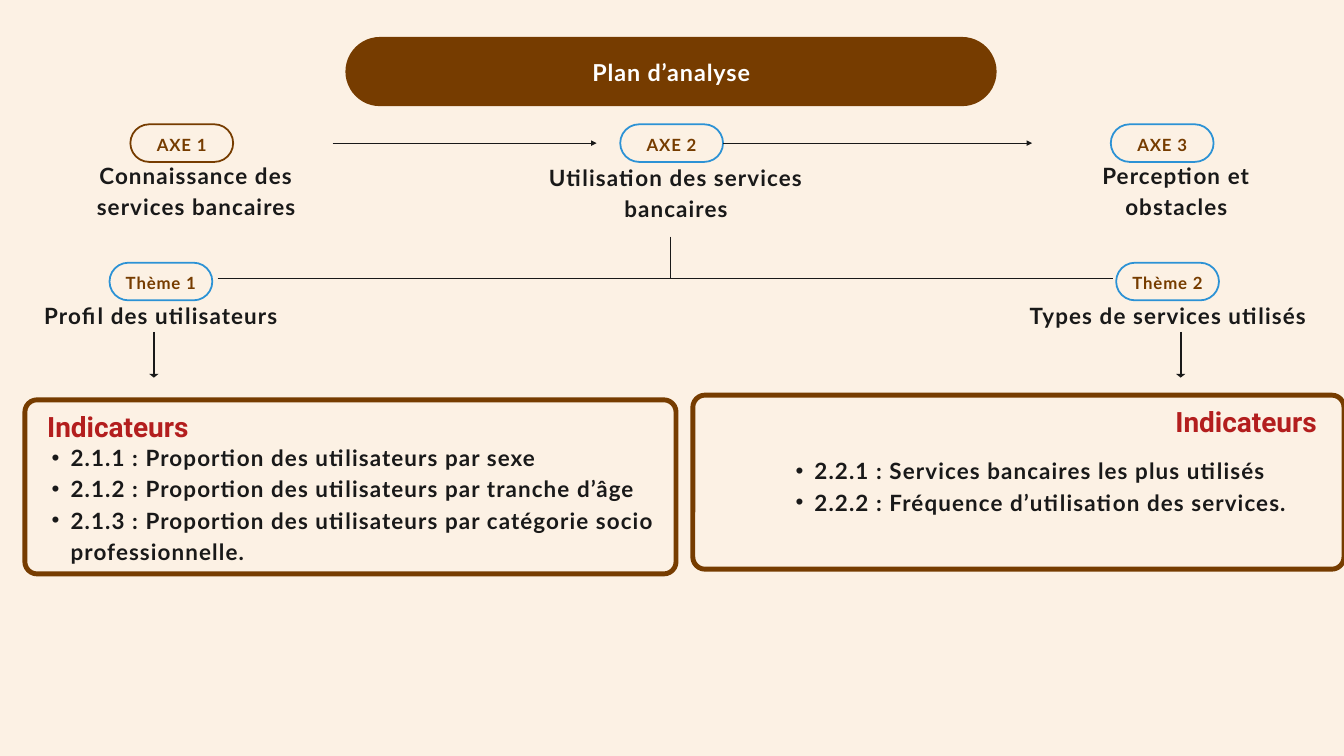
from dataclasses import dataclass

from lxml import etree
from pptx import Presentation
from pptx import util as u
from pptx.dml.color import RGBColor
from pptx.enum import shapes, text
from pptx.oxml import ns

Inches, Pt = u.Inches, u.Pt


@dataclass(frozen=True)
class TextStyle:
    font: str
    size: float
    color: str
    line_spacing: float
    tracking: float = 0


@dataclass(frozen=True)
class Theme:
    background: str = "FCF1E4"
    brown: str = "763C00"
    blue: str = "2C92D5"
    ink: str = "191919"
    title: TextStyle = TextStyle("Lato", 25, "FFFFFF", 32.5, 1)
    tag: TextStyle = TextStyle("Lato", 18, "763C00", 25.2, 0.9)
    body: TextStyle = TextStyle("Lato", 24, "191919", 33.6, 1.2)
    heading: TextStyle = TextStyle("Roboto", 30, "B31E1E", 38.7)


@dataclass(frozen=True)
class Box:
    left: float
    top: float
    width: float
    height: float

    def lengths(self):
        return [Inches(v) for v in (self.left, self.top, self.width, self.height)]


@dataclass(frozen=True)
class Topic:
    tag: str
    left: float
    top: float
    color: str
    caption: str
    caption_box: Box


@dataclass(frozen=True)
class Panel:
    frame: Box
    heading_box: Box
    list_box: Box
    indicators: tuple


THEME = Theme()
TAG_WIDTH, TAG_HEIGHT = 1.53, 0.56
TITLE_FRAME = Box(5.14, 0.55, 9.69, 1.03)
AXIS_TOP, THEME_TOP = 1.85, 3.91

TOPICS = (
    Topic("AXE 1", 1.94, AXIS_TOP, THEME.brown, "Connaissance des services bancaires",
          Box(0.84, 2.34, 4.16, 0.9)),
    Topic("AXE 2", 9.23, AXIS_TOP, THEME.blue, "Utilisation des services bancaires",
          Box(7.98, 2.37, 4.16, 0.9)),
    Topic("AXE 3", 16.53, AXIS_TOP, THEME.blue, "Perception et obstacles",
          Box(16.06, 2.34, 2.89, 0.9)),
    Topic("Thème 1", 1.63, THEME_TOP, THEME.blue, "Profil des utilisateurs",
          Box(0.33, 4.43, 4.13, 0.44)),
    Topic("Thème 2", 16.61, THEME_TOP, THEME.blue, "Types de services utilisés",
          Box(15.1, 4.43, 4.56, 0.44)),
)

PANELS = (
    Panel(Box(0.37, 5.95, 9.69, 2.59), Box(0.59, 6.05, 2.33, 0.54),
          Box(0.48, 6.54, 9.46, 1.82),
          ("2.1.1 : Proportion des utilisateurs par sexe",
           "2.1.2 : Proportion des utilisateurs par tranche d’âge",
           "2.1.3 : Proportion des utilisateurs par catégorie socio professionnelle.")),
    Panel(Box(10.31, 5.88, 9.69, 2.59), Box(17.38, 5.98, 2.33, 0.54),
          Box(11.55, 6.74, 8.45, 0.9),
          ("2.2.1 : Services bancaires les plus utilisés",
           "2.2.2 : Fréquence d’utilisation des services.")),
)


def set_all(target, values: dict) -> None:
    for name, value in values.items():
        setattr(target, name, value)


def add_bullet(paragraph) -> None:
    properties = paragraph._p.get_or_add_pPr()
    set_all(paragraph, {"level": 1})
    properties.set("marL", str(Inches(0.57)))
    properties.set("indent", str(Inches(-0.28)))
    etree.SubElement(properties, ns.qn("a:buFont")).set("typeface", "Arial")
    etree.SubElement(properties, ns.qn("a:buChar")).set("char", "•")


def write(shape, lines: tuple, style: TextStyle, bulleted: bool = False) -> None:
    frame = shape.text_frame
    set_all(frame, {
        "margin_left": 0, "margin_right": 0, "margin_top": 0, "margin_bottom": 0,
        "word_wrap": True, "auto_size": text.MSO_AUTO_SIZE.NONE,
        "vertical_anchor": text.MSO_ANCHOR.TOP,
    })
    for index, line in enumerate(lines):
        paragraph = frame.add_paragraph() if index else frame.paragraphs[0]
        set_all(paragraph, {
            "alignment": text.PP_ALIGN.LEFT if bulleted else text.PP_ALIGN.CENTER,
            "line_spacing": Pt(style.line_spacing),
            "space_before": Pt(0), "space_after": Pt(0),
        })
        if bulleted:
            add_bullet(paragraph)
        run = paragraph.add_run()
        run.text = line
        set_all(run.font, {"name": style.font, "size": Pt(style.size), "bold": True})
        run.font.color.rgb = RGBColor.from_string(style.color)
        if style.tracking:
            run.font._element.set("spc", str(round(style.tracking * 100)))


def add_label(slide, box: Box, label: str, style: TextStyle) -> None:
    write(slide.shapes.add_textbox(*box.lengths()), (label,), style)


def fill_placeholder(slide, placeholder, box: Box, lines: tuple, style: TextStyle,
                     bulleted: bool = False) -> None:
    """Place and write a placeholder, in front of the shapes drawn so far."""
    set_all(placeholder, dict(zip(("left", "top", "width", "height"), box.lengths())))
    write(placeholder, lines, style, bulleted)
    slide.shapes._spTree.append(placeholder._element)


def add_rounded(slide, box: Box, corner: float, fill: str | None,
                line: str | None = None, weight: float = 0):
    shape = slide.shapes.add_shape(shapes.MSO_SHAPE.ROUNDED_RECTANGLE, *box.lengths())
    shape.shadow.inherit = False
    shape.adjustments[0] = corner
    if fill:
        shape.fill.solid()
        shape.fill.fore_color.rgb = RGBColor.from_string(fill)
    else:
        shape.fill.background()
    if line:
        shape.line.color.rgb = RGBColor.from_string(line)
        shape.line.width = Pt(weight)
    else:
        shape.line.fill.background()
    return shape


def add_line(slide, start: tuple, end: tuple, weight: float = 0.75,
             head: tuple | None = None):
    """Draw a straight line; head gives the arrowhead's width and length."""
    connector = slide.shapes.add_connector(
        shapes.MSO_CONNECTOR.STRAIGHT, *(Inches(v) for v in (*start, *end)))
    connector.line.color.rgb = RGBColor.from_string(THEME.ink)
    connector.line.width = Pt(weight)
    if head:
        tail_end = etree.SubElement(connector.line._get_or_add_ln(), ns.qn("a:tailEnd"))
        for name, value in zip(("type", "w", "len"), ("triangle", *head)):
            tail_end.set(name, value)
    etree.SubElement(connector._element.spPr, ns.qn("a:effectLst"))
    return connector


def add_topic(slide, topic: Topic):
    outline = Box(topic.left, topic.top, TAG_WIDTH, TAG_HEIGHT)
    pill = add_rounded(slide, outline, 0.5, None, topic.color, 1.9)
    label_box = Box(topic.left + 0.18, topic.top + 0.1, 1.17, 0.33)
    add_label(slide, label_box, topic.tag, THEME.tag)
    add_label(slide, topic.caption_box, topic.caption, THEME.body)
    return pill


def add_panel(slide, panel: Panel, placeholder) -> None:
    add_rounded(slide, panel.frame, 0.07, THEME.background, THEME.brown, 5.25)
    fill_placeholder(slide, placeholder, panel.list_box, panel.indicators,
                     THEME.body, bulleted=True)
    add_label(slide, panel.heading_box, "Indicateurs", THEME.heading)


def main() -> None:
    presentation = Presentation()
    set_all(presentation, {"slide_width": Inches(20), "slide_height": Inches(11.25)})
    slide = presentation.slides.add_slide(presentation.slide_layouts[3])
    slide.background.fill.solid()
    slide.background.fill.fore_color.rgb = RGBColor.from_string(THEME.background)
    title, *lists = list(slide.placeholders)

    add_rounded(slide, TITLE_FRAME, 0.5, THEME.brown)
    fill_placeholder(slide, title, Box(5.66, 0.83, 8.66, 0.44),
                     ("Plan d’analyse",), THEME.title)

    pills = {topic.tag: add_topic(slide, topic) for topic in TOPICS}
    add_line(slide, (4.95, 2.13), (8.88, 2.13), head=("med", "med"))
    second_arrow = add_line(slide, (10.76, 2.13), (15.36, 2.13), head=("med", "med"))
    second_arrow.begin_connect(pills["AXE 2"], 3)

    add_line(slide, (3.24, 4.14), (16.56, 4.14))
    add_line(slide, (9.98, 3.52), (9.98, 4.14))
    for x in (2.29, 17.57):
        add_line(slide, (x, 4.94), (x, 5.62), weight=2, head=("lg", "sm"))

    for panel, placeholder in zip(PANELS, lists):
        add_panel(slide, panel, placeholder)
    presentation.save("out.pptx")


if __name__ == "__main__":
    main()
